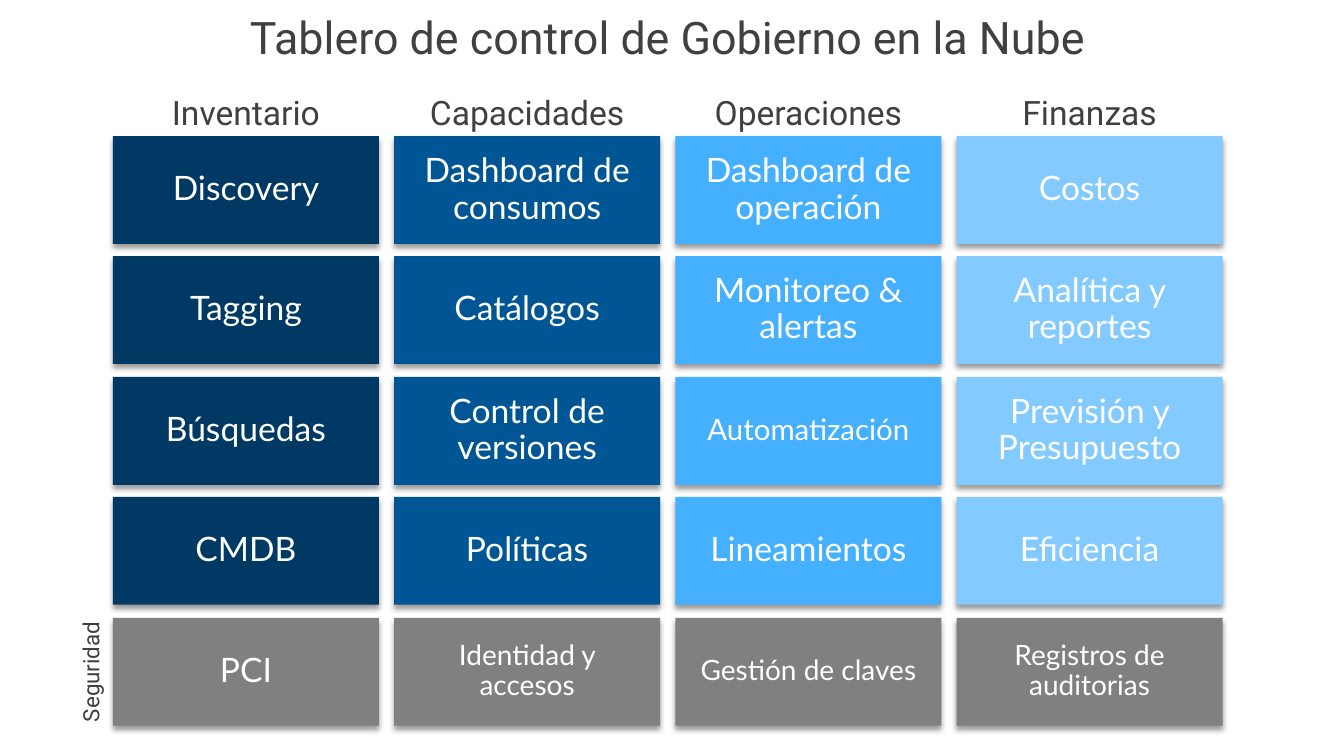
from dataclasses import dataclass

from lxml.etree import SubElement
from pptx import Presentation
from pptx.dml.color import RGBColor
from pptx.enum.shapes import MSO_SHAPE as Preset
from pptx.enum.text import MSO_ANCHOR as Anchor, MSO_AUTO_SIZE as AutoSize, PP_ALIGN as Align
from pptx.oxml.ns import qn
from pptx.util import Emu, Pt

EMU_PER_PX = 9144  # 100 px to the inch
TITLE_ONLY = 5
GRID_LEFT, GRID_TOP = 112, 135
TILE_WIDTH, TILE_HEIGHT = 264, 107
COLUMN_PITCH, ROW_PITCH = 279, 119.5
DARK_GREY, SECURITY_GREY, WHITE = "404040", "808080", "FFFFFF"


@dataclass
class Tile:
    label: str
    size: int = 24


@dataclass
class Pillar:
    heading: str
    fill: str
    tiles: list[Tile]
    security: Tile


@dataclass
class TextStyle:
    font: str
    size: int
    color: str
    space_after: int = 0
    anchor: Anchor = Anchor.TOP
    auto_size: AutoSize = AutoSize.SHAPE_TO_FIT_TEXT


PILLARS = [
    Pillar("Inventario", "003963",
           [Tile("Discovery"), Tile("Tagging"), Tile("Búsquedas"), Tile("CMDB")],
           Tile("PCI")),
    Pillar("Capacidades", "005694",
           [Tile("Dashboard de consumos"), Tile("Catálogos"),
            Tile("Control de versiones"), Tile("Políticas")],
           Tile("Identidad y accesos", 20)),
    Pillar("Operaciones", "44B0FF",
           [Tile("Dashboard de operación"), Tile("Monitoreo & alertas"),
            Tile("Automatización", 21), Tile("Lineamientos")],
           Tile("Gestión de claves", 20)),
    Pillar("Finanzas", "82CAFF",
           [Tile("Costos"), Tile("Analítica y reportes"),
            Tile("Previsión y Presupuesto"), Tile("Eficiencia")],
           Tile("Registros de auditorias", 20)),
]


def px(length: int) -> Emu:
    return Emu(length * EMU_PER_PX)


def box(left: int, top: int, width: int, height: int) -> tuple[Emu, ...]:
    return px(left), px(top), px(width), px(height)


def rgb(color: str) -> RGBColor:
    return RGBColor.from_string(color)


def add_shadow(effects) -> None:
    """Fill an a:effectLst with a soft shadow falling straight down."""
    shadow = SubElement(effects, qn("a:outerShdw"), blurRad=str(Pt(4)), dist=str(Pt(3)),
                        dir="5400000", algn="t", rotWithShape="0")
    black = SubElement(shadow, qn("a:srgbClr"), val="000000")
    SubElement(black, qn("a:alpha"), val="40000")


def write(shape, text: str, style: TextStyle):
    """Set the only run of a shape and return it."""
    frame = shape.text_frame
    frame.word_wrap = True
    frame.auto_size = style.auto_size
    frame.vertical_anchor = style.anchor
    frame.margin_left = frame.margin_right = px(20)
    frame.margin_top = frame.margin_bottom = px(16)
    paragraph = frame.paragraphs[0]
    paragraph.alignment = Align.CENTER
    paragraph.line_spacing = 0.9
    paragraph.space_before = Pt(0)
    paragraph.space_after = Pt(style.space_after)
    run = paragraph.add_run()
    run.text = text
    run.font.size = Pt(style.size)
    run.font.name = style.font
    run.font.color.rgb = rgb(style.color)
    return run


def add_title(slide, text: str) -> None:
    title = slide.shapes.title
    title.left, title.top, title.width, title.height = box(GRID_LEFT, 0, 1101, 81)
    run = write(title, text, TextStyle("Roboto", 32, DARK_GREY, space_after=6))
    properties = run.font.color.rgb is not None and run._r.get_or_add_rPr()
    effects = SubElement(properties, qn("a:effectLst"))
    properties.find(qn("a:solidFill")).addnext(effects)
    add_shadow(effects)


def add_label(slide, text: str, frame: tuple[Emu, ...], size: int, rotation: int = 0) -> None:
    label = slide.shapes.add_textbox(*frame)
    label.rotation = rotation
    write(label, text, TextStyle("Roboto", size, DARK_GREY, space_after=6))


def add_tile(slide, tile: Tile, fill: str, left: int, row: int) -> None:
    top = int(GRID_TOP + row * ROW_PITCH)
    shape = slide.shapes.add_shape(Preset.RECTANGLE, *box(left, top, TILE_WIDTH, TILE_HEIGHT))
    shape.fill.solid()
    shape.fill.fore_color.rgb = rgb(fill)
    shape.line.fill.background()
    shape.shadow.inherit = False
    add_shadow(shape._element.spPr.find(qn("a:effectLst")))
    write(shape, tile.label,
          TextStyle("Lato", tile.size, WHITE, anchor=Anchor.MIDDLE, auto_size=AutoSize.NONE))


def main() -> None:
    deck = Presentation()
    deck.slide_width, deck.slide_height = Emu(12192000), px(750)
    slide = deck.slides.add_slide(deck.slide_layouts[TITLE_ONLY])

    add_title(slide, "Tablero de control de Gobierno en la Nube")
    for column, pillar in enumerate(PILLARS):
        left = GRID_LEFT + column * COLUMN_PITCH
        for row, tile in enumerate(pillar.tiles):
            add_tile(slide, tile, pillar.fill, left, row)
        add_tile(slide, pillar.security, SECURITY_GREY, left, len(pillar.tiles))
        add_label(slide, pillar.heading, box(left, 80, TILE_WIDTH, 69), 24)
    add_label(slide, "Seguridad", box(24, 638, 144, 57), 16, rotation=270)

    deck.save("out.pptx")


if __name__ == "__main__":
    main()
